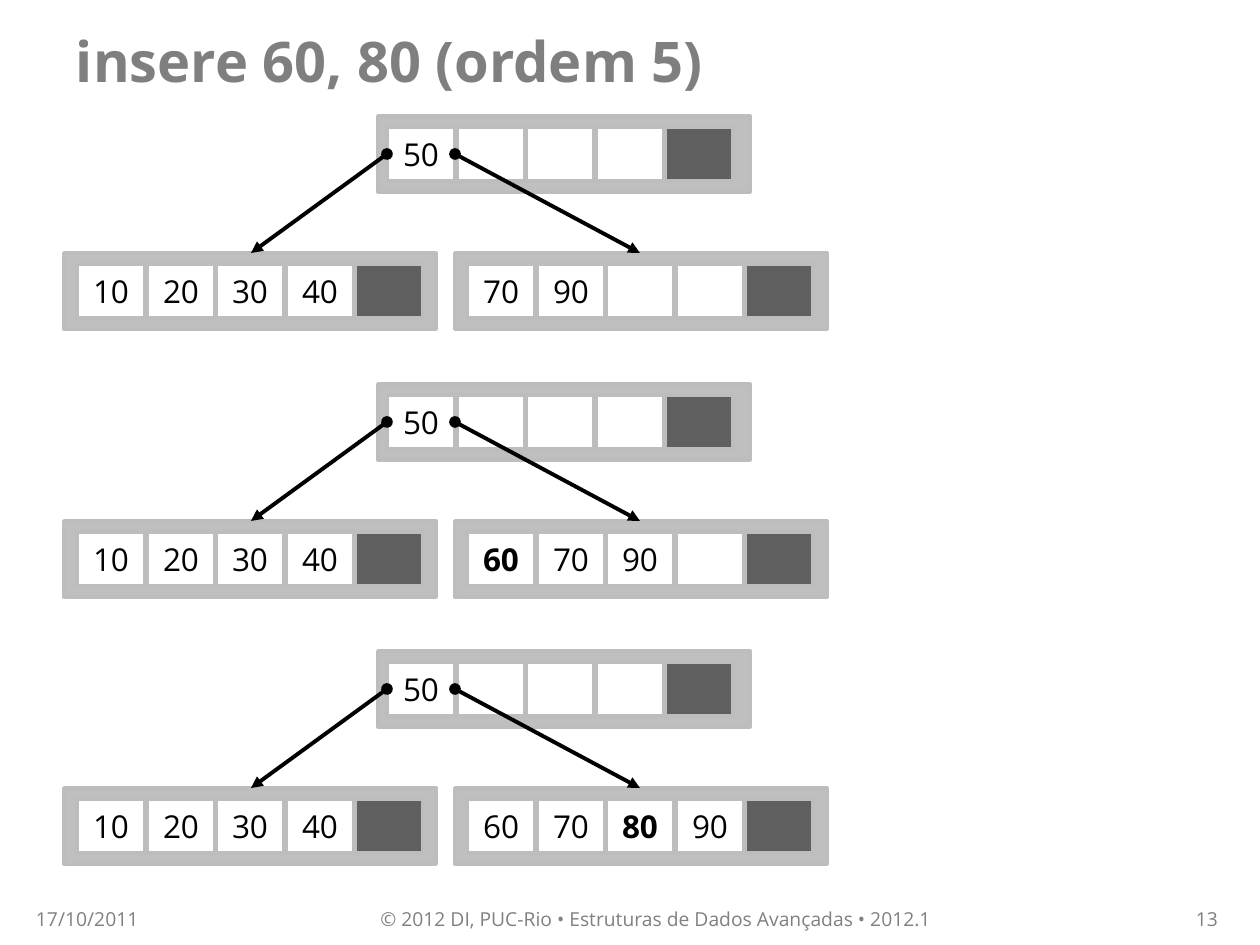
from pptx import Presentation
from pptx.dml.color import RGBColor
from pptx.enum.shapes import MSO_CONNECTOR, MSO_SHAPE
from pptx.enum.text import MSO_ANCHOR, PP_ALIGN
from pptx.oxml.ns import qn
from pptx.util import Pt
from lxml.etree import SubElement

FONT = "Open Sans"
CELLS = 5
PITCH = 69.6
STEP = 267.5
DROP = 137


def px(n):
    """Turn pixels into EMU."""
    return round(n * 914400 / 126)


def color(code):
    """Turn a hex string into a colour."""
    return RGBColor.from_string(code)


def write(shape, text, size, tint, align, anchor, pads, bold=False):
    """Put one run of text into a shape."""
    frame = shape.text_frame
    frame.word_wrap = True
    frame.vertical_anchor = anchor
    frame.margin_left, frame.margin_top, frame.margin_right, frame.margin_bottom = map(px, pads)
    para = frame.paragraphs[0]
    para.alignment = align
    run = para.add_run()
    run.text = text
    run.font.name = FONT
    run.font.size = Pt(size)
    run.font.bold = bold
    run.font.color.rgb = color(tint)


def label(slide, box, *style, **extra):
    """Add a text box."""
    write(slide.shapes.add_textbox(*map(px, box)), *style, **extra)


def rect(slide, box, fill):
    """Add a grey-edged rectangle."""
    shape = slide.shapes.add_shape(MSO_SHAPE.RECTANGLE, *map(px, box))
    shape.shadow.inherit = False
    shape.fill.solid()
    shape.fill.fore_color.rgb = color(fill)
    shape.line.color.rgb = color("BDBDBD")
    shape.line.width = Pt(2)
    return shape


def node(slide, left, top, inset, keys, fresh=None):
    """Add a tree node with its keys and a dark spare cell."""
    rect(slide, (left, top, 372, 76), "BFBFBF")
    for i in range(CELLS):
        fill = "5F5F5F" if i == CELLS - 1 else "FFFFFF"
        cell = rect(slide, (round(left + inset + i * PITCH), top + 11, 68, 54), fill)
        if i < len(keys):
            write(cell, str(keys[i]), 18, "000000", PP_ALIGN.CENTER,
                  MSO_ANCHOR.MIDDLE, (0, 6, 0, 6), keys[i] == fresh)


def arrow(slide, start, end):
    """Add a pointer from a dot to an arrowhead."""
    line = slide.shapes.add_connector(MSO_CONNECTOR.STRAIGHT, *map(px, start + end))
    line.line.color.rgb = color("000000")
    line.line.width = Pt(2.25)
    props = line._element.spPr
    edge = props.find(qn("a:ln"))
    SubElement(edge, qn("a:headEnd"), type="oval")
    SubElement(edge, qn("a:tailEnd"), type="triangle")
    SubElement(props, qn("a:effectLst"))


def tree(slide, top, keys, fresh):
    """Add a root with two leaves."""
    node(slide, 64, top + DROP, 13, [10, 20, 30, 40])
    node(slide, 455, top + DROP, 12, keys, fresh)
    node(slide, 378, top, 9, [50])
    for start, end in ((387, 251), (455, 640)):
        arrow(slide, (start, top + 38), (end, top + DROP))


def main():
    """Build the slide and save it."""
    deck = Presentation()
    deck.slide_width, deck.slide_height = px(1260), px(945)
    slide = deck.slides.add_slide(deck.slide_layouts[6])
    label(slide, (63, 21, 1134, 116), "insere 60, 80 (ordem 5)", 32, "7F7F7F",
          PP_ALIGN.LEFT, MSO_ANCHOR.TOP, (13, 6, 6, 6), bold=True)
    stages = [([70, 90], None), ([60, 70, 90], 60), ([60, 70, 80, 90], 80)]
    for i, (keys, fresh) in enumerate(stages):
        tree(slide, round(116 + i * STEP), keys, fresh)
    notes = [
        (21, 158, "17/10/2011", PP_ALIGN.LEFT, (15, 6, 6, 0)),
        (189, 934, "© 2012 DI, PUC-Rio • Estruturas de Dados Avançadas • 2012.1",
         PP_ALIGN.CENTER, (6, 6, 6, 0)),
        (1130, 101, "13", PP_ALIGN.RIGHT, (13, 6, 13, 0)),
    ]
    for left, width, text, align, pads in notes:
        label(slide, (left, 892, width, 38), text, 11, "808080", align,
              MSO_ANCHOR.BOTTOM, pads)
    deck.save("out.pptx")


main()
